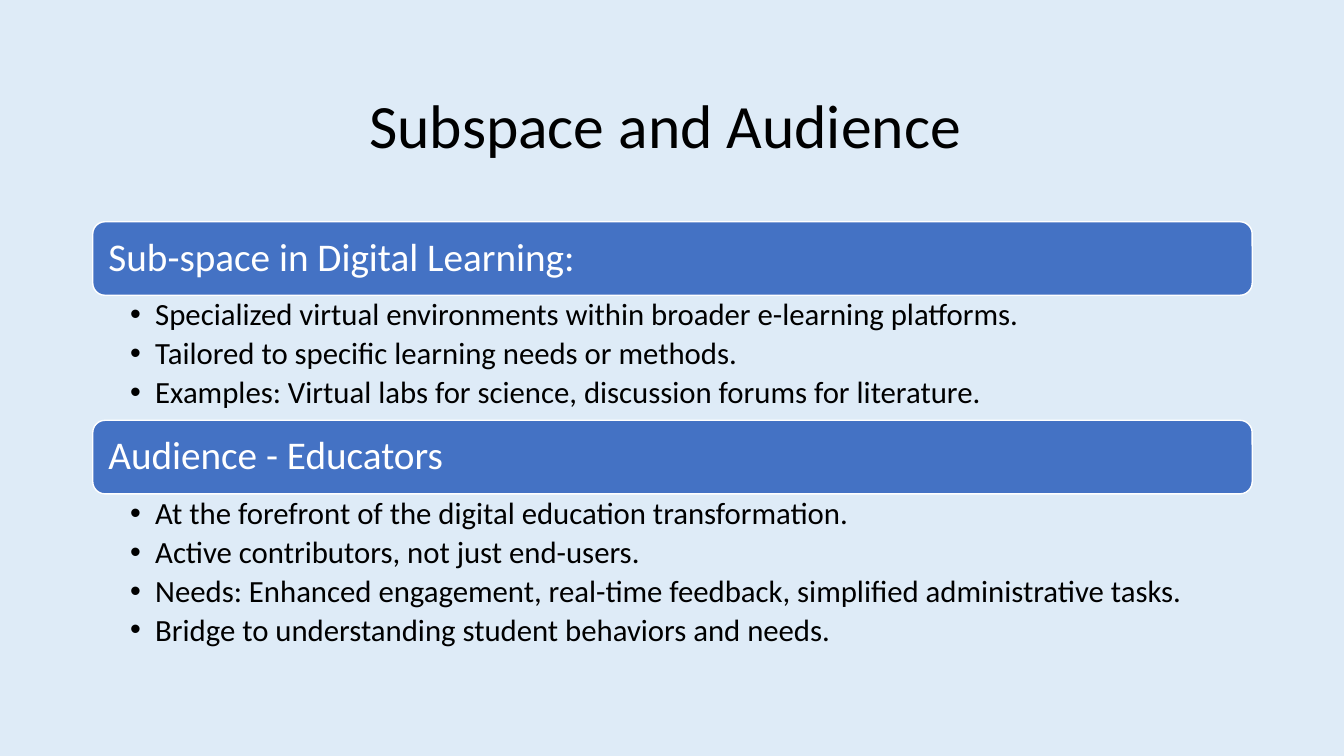
"""Build the Subspace and Audience slide."""
from dataclasses import dataclass

from lxml.etree import SubElement
from pptx import Presentation
from pptx.dml.color import RGBColor
from pptx.enum.shapes import MSO_SHAPE
from pptx.enum.text import MSO_ANCHOR, PP_ALIGN
from pptx.oxml.ns import qn
from pptx.util import Inches, Pt


@dataclass(frozen=True)
class Theme:
    font: str = "Calibri"
    back: RGBColor = RGBColor(0xDE, 0xEB, 0xF7)
    bar: RGBColor = RGBColor(0x44, 0x72, 0xC4)
    white: RGBColor = RGBColor(0xFF, 0xFF, 0xFF)
    black: RGBColor = RGBColor(0, 0, 0)
    title: Pt = Pt(44)
    head: Pt = Pt(28)
    body: Pt = Pt(22)


theme = Theme()


def write(para, text, size, color, align=PP_ALIGN.LEFT):
    """Fill a paragraph with styled text."""
    para.text = text
    para.alignment = align
    para.line_spacing = 0.9
    para.font.name = theme.font
    para.font.size = size
    para.font.color.rgb = color


def inset(frame, left, top, right, bottom):
    """Wrap the text and set its margins."""
    frame.word_wrap = True
    frame.margin_left, frame.margin_top = Inches(left), Inches(top)
    frame.margin_right, frame.margin_bottom = Inches(right), Inches(bottom)


deck = Presentation()
deck.slide_width, deck.slide_height = Inches(13.33), Inches(7.5)
slide = deck.slides.add_slide(deck.slide_layouts[6])
slide.background.fill.solid()
slide.background.fill.fore_color.rgb = theme.back

left, width = Inches(0.92), Inches(11.5)
title = slide.shapes.add_textbox(left, Inches(0.55), width, Inches(1.45))
inset(title.text_frame, 0.1, 0.05, 0.1, 0.05)
title.text_frame.vertical_anchor = MSO_ANCHOR.MIDDLE
write(title.text_frame.paragraphs[0], "Subspace and Audience ",
      theme.title, theme.black, PP_ALIGN.CENTER)

groups = [
    ("Sub-space in Digital Learning:", 1.24, [
        "Specialized virtual environments within broader e-learning platforms.",
        "Tailored to specific learning needs or methods.",
        "Examples: Virtual labs for science, discussion forums for literature.",
    ]),
    ("Audience - Educators", 1.65, [
        "At the forefront of the digital education transformation.",
        "Active contributors, not just end-users.",
        "Needs: Enhanced engagement, real-time feedback, simplified administrative tasks.",
        "Bridge to understanding student behaviors and needs.",
    ]),
]

top, tall = 2.2, 0.73
for head, depth, points in groups:
    bar = slide.shapes.add_shape(MSO_SHAPE.ROUNDED_RECTANGLE, left, Inches(top),
                                 width, Inches(tall))
    bar.shadow.inherit = False
    bar.fill.solid()
    bar.fill.fore_color.rgb = theme.bar
    bar.line.color.rgb = theme.white
    bar.line.width = Pt(1)
    inset(bar.text_frame, 0.12, 0.12, 0.12, 0.12)
    bar.text_frame.vertical_anchor = MSO_ANCHOR.MIDDLE
    write(bar.text_frame.paragraphs[0], head, theme.head, theme.white)

    box = slide.shapes.add_textbox(left, Inches(top + tall), width, Inches(depth))
    frame = box.text_frame
    inset(frame, 0.37, 0.04, 0.22, 0.04)
    for index, point in enumerate(points):
        para = frame.add_paragraph() if index else frame.paragraphs[0]
        props = para._p.get_or_add_pPr()
        props.set("marL", str(Inches(0.25)))
        props.set("indent", str(-Inches(0.25)))
        SubElement(props, qn("a:buFont"), typeface="Arial")
        SubElement(props, qn("a:buChar"), char="•")
        write(para, point, theme.body, theme.black)
        para.space_after = Pt(4)
    top += tall + depth

deck.save("out.pptx")
